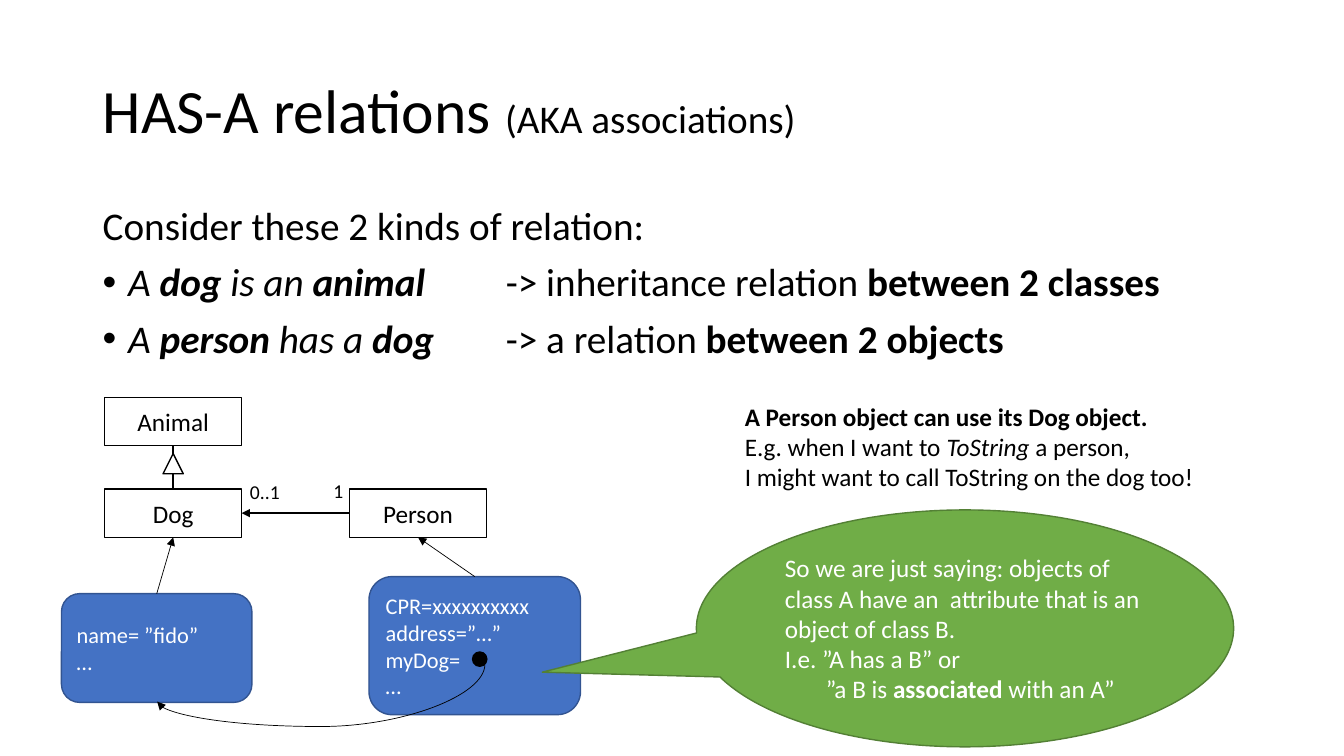
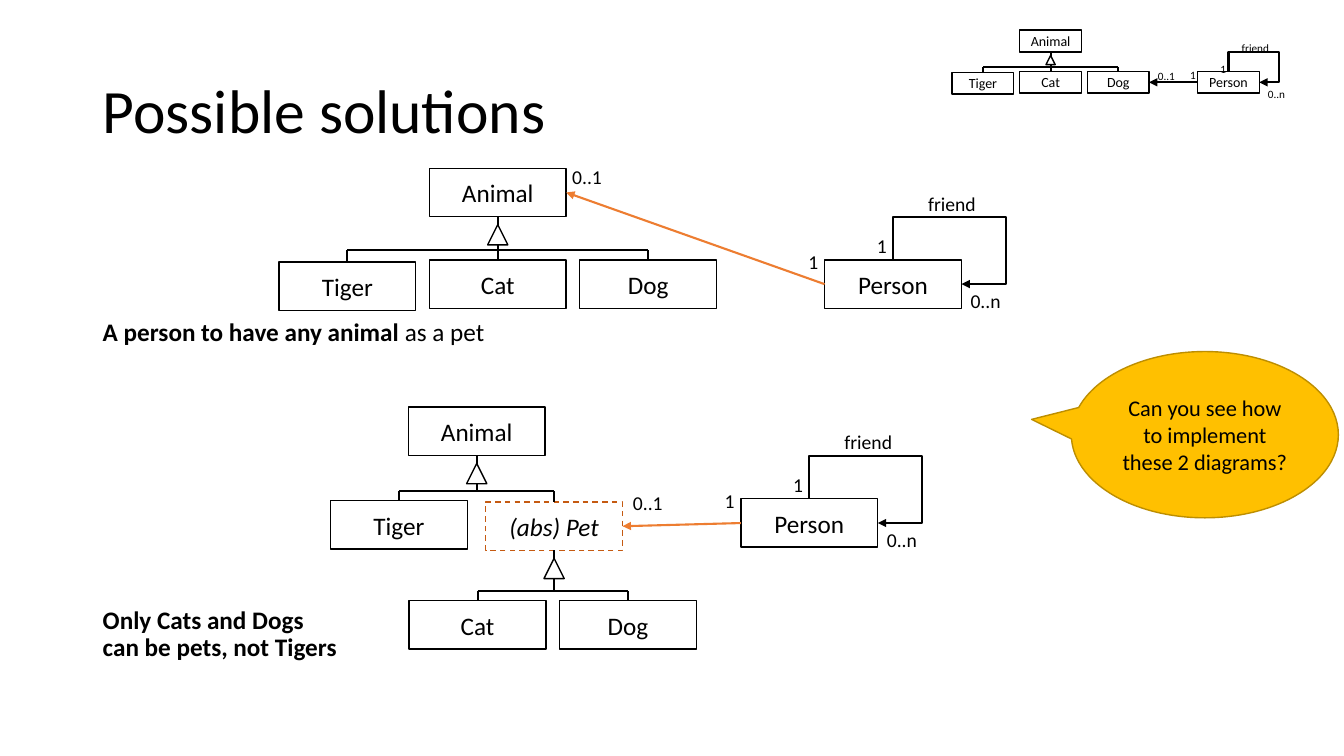
import pptx
import pptx.util
import pptx.dml.color
import pptx.enum.dml
import pptx.enum.shapes
import pptx.enum.text
import pptx.oxml.ns

Cm = pptx.util.Cm
Pt = pptx.util.Pt
RGB = pptx.dml.color.RGBColor
KIND = pptx.enum.shapes.MSO_SHAPE
LINK = pptx.enum.shapes.MSO_CONNECTOR
ALIGN = pptx.enum.text.PP_ALIGN
ANCHOR = pptx.enum.text.MSO_ANCHOR
qn = pptx.oxml.ns.qn

BLACK = RGB(0x00, 0x00, 0x00)
WHITE = RGB(0xFF, 0xFF, 0xFF)
BLUE = RGB(0x44, 0x72, 0xC4)
NAVY = RGB(0x32, 0x54, 0x91)
GREEN = RGB(0x70, 0xAD, 0x47)
FOREST = RGB(0x53, 0x80, 0x35)
GOLD = RGB(0xFF, 0xC0, 0x00)
OCHRE = RGB(0xBD, 0x8E, 0x00)
ORANGE = RGB(0xED, 0x7D, 0x31)
RUST = RGB(0xC5, 0x5A, 0x11)

FONT = "Calibri"
BOLD = {"bold": True}
ITAL = {"italic": True}
BOTH = {"bold": True, "italic": True}
TIGHT = {"line_spacing": 0.9}
BODY = {"line_spacing": 0.9, "space_before": Pt(10)}
MID = {"alignment": ALIGN.CENTER}
TOP, LEFT, BOTTOM, RIGHT = range(4)
WIDE, HIGH = 3.45, 1.22
MINI = 0.45
WIDTHS = {"1": 0.76, "0..1": 1.27, "friend": 1.73, "0..n": 1.3}
LOOP = {
    1: {"friend": (2.36, -1.85), "1": (1.07, -0.79), "0..n": (3.43, 0.61)},
    MINI: {"friend": (0.86, -0.89), "1": (0.32, -0.36), "0..n": (1.52, 0.28)},
}


def apply(thing, form):
    for name, value in form.items():
        setattr(thing, name, value)


def add(base, tag, **values):
    node = base.makeelement(qn(tag), {name: str(value) for name, value in values.items()})
    base.append(node)
    return node


def write(shape, paras, size, color=BLACK, form=None, wrap=True, anchor=ANCHOR.MIDDLE):
    frame = shape.text_frame
    apply(frame, {"word_wrap": wrap, "vertical_anchor": anchor})
    for i, runs in enumerate(paras):
        para = frame.paragraphs[0] if i == 0 else frame.add_paragraph()
        apply(para, {"alignment": ALIGN.LEFT, **(form or {})})
        for word, style in [(runs, {})] if isinstance(runs, str) else runs:
            run = para.add_run()
            run.text = word
            apply(run.font, {"name": FONT, "size": Pt(size), **style})
            run.font.color.rgb = color
    return frame.paragraphs


def indent(para, left, tab=None):
    props = para._p.get_or_add_pPr()
    props.set("marL", str(Cm(left)))
    if tab:
        props.set("indent", str(-Cm(left)))
        add(props, "a:buFont", typeface="Arial")
        add(props, "a:buChar", char="•")
        add(add(props, "a:tabLst"), "a:tab", pos=Cm(tab), algn="l")


def note(slide, spot, paras, size, **more):
    area = slide.shapes.add_textbox(*map(Cm, spot))
    return write(area, paras, size, **more)


def title(slide, runs):
    note(slide, (2.34, 1.02, 29.21, 3.68), [runs], 44, form=TIGHT)


def label(slide, word, x, y, size=14):
    wide = 0.51 + (WIDTHS[word] - 0.51) * size / 14
    note(slide, (x, y, wide, 0.25 + size * 0.043), [word], size,
         wrap=False, anchor=ANCHOR.TOP)


def form(slide, kind, spot, fill=WHITE, edge=BLACK):
    shape = slide.shapes.add_shape(kind, *map(Cm, spot))
    shape.shadow.inherit = False
    shape.fill.solid()
    shape.fill.fore_color.rgb = fill
    shape.line.color.rgb = edge
    shape.line.width = Pt(1)
    return shape


def box(slide, name, x, y, scale=1, edge=BLACK, style=None):
    shape = form(slide, KIND.RECTANGLE, (x, y, WIDE * scale, HIGH * scale), edge=edge)
    write(shape, [[(name, style or {})]], 18 if scale == 1 else 10, form=MID)
    return shape


def item(slide, spot, lines):
    shape = form(slide, KIND.ROUNDED_RECTANGLE, spot, BLUE, NAVY)
    write(shape, lines, 16, WHITE)
    return shape


def bubble(slide, spot, tip, fill, edge):
    shape = form(slide, KIND.OVAL_CALLOUT, spot, fill, edge)
    for i, value in enumerate(tip):
        shape.adjustments[i] = value
    return shape


def stroke(slide, ends, kind=LINK.STRAIGHT, color=BLACK, width=1.5, head=False):
    line = slide.shapes.add_connector(kind, *ends)
    line.line.color.rgb = color
    line.line.width = Pt(width)
    props = line._element.spPr
    if head:
        add(props.find(qn("a:ln")), "a:tailEnd", type="triangle")
    add(props, "a:effectLst")
    return line


def link(slide, start, out, end, into, **more):
    line = stroke(slide, (0, 0, 0, 0), head=True, **more)
    line.begin_connect(start, out)
    line.end_connect(end, into)
    return line


def bend(line, preset, spot, turn, flip, values):
    apply(line, dict(zip(("left", "top", "width", "height"), spot)))
    props = line._element.spPr
    frame = props.find(qn("a:xfrm"))
    for name, value in {"rot": turn * 60000, "flipH": flip, "flipV": 0}.items():
        frame.set(name, str(value))
    shape = props.find(qn("a:prstGeom"))
    shape.set("prst", preset)
    for i, value in enumerate(values, 1):
        add(shape.find(qn("a:avLst")), "a:gd", name=f"adj{i}", fmla=f"val {value}")


def tree(slide, base, kids, scale=1):
    mid = base.left + base.width // 2
    foot = base.top + base.height
    bar = min(kid.top for kid in kids) - Cm(0.25 * scale)
    hubs = [kid.left + kid.width // 2 for kid in kids]
    stroke(slide, (mid, foot, mid, bar))
    if len(kids) > 1:
        stroke(slide, (hubs[0], bar, hubs[-1], bar))
    for hub, kid in zip(hubs, kids):
        stroke(slide, (hub, bar, hub, kid.top))
    side = 0.51 * scale
    form(slide, KIND.FLOWCHART_EXTRACT,
         (mid / Cm(1) - side / 2, foot / Cm(1) + 0.2 * scale, side, side))


def person(slide, x, y, scale=1):
    shape = box(slide, "Person", x, y, scale)
    line = link(slide, shape, TOP, shape, RIGHT, kind=LINK.ELBOW)
    wide, high = shape.width // 2, shape.height // 2
    spot = (shape.left + (3 * wide - high) // 2, shape.top + (high - wide) // 2, high, wide)
    bend(line, "bentConnector4", spot, 270, 1, (-176400, 164600))
    for word, (right, down) in LOOP[scale].items():
        label(slide, word, x + right, y + down, 14 if scale == 1 else 8)
    return shape


def zoo(slide, x, y, scale=1):
    row = y + 2.31 * scale
    base = box(slide, "Animal", x, y, scale)
    kids = [box(slide, "Tiger", x - 3.79 * scale, row + 0.05 * scale, scale),
            box(slide, "Cat", x, row, scale),
            box(slide, "Dog", x + 3.79 * scale, row, scale)]
    tree(slide, base, kids, scale)
    return base, kids[-1], person(slide, x + 9.96 * scale, row, scale)


def relate(slide):
    title(slide, [("HAS-A relations ", {}), ("(AKA associations)", {"size": Pt(28)})])
    paras = note(slide, (2.34, 5.08, 29.21, 12.09), [
        "Consider these 2 kinds of relation:",
        [("A ", ITAL), ("dog", BOTH), (" is an ", ITAL), ("animal", BOTH),
         ("\t-> inheritance relation ", {}), ("between 2 classes", BOLD)],
        [("A ", ITAL), ("person", BOTH), (" has a ", ITAL), ("dog", BOTH),
         ("\t-> a relation ", {}), ("between 2 objects", BOLD)],
    ], 28, form=BODY, anchor=ANCHOR.TOP)
    for para in paras[1:]:
        indent(para, 0.64, 10.16)
    note(slide, (18.52, 9.98, 11.96, 2.57), [
        [("A Person object can use its Dog object.", BOLD)],
        [("E.g. when I want to ", {}), ("ToString", ITAL), (" a person,", {})],
        "I might want to call ToString on the dog too!",
    ], 18, wrap=False, anchor=ANCHOR.TOP)

    beast = box(slide, "Animal", 2.64, 10.01)
    dog = box(slide, "Dog", 2.64, 12.32)
    owner = box(slide, "Person", 8.81, 12.32)
    tree(slide, beast, [dog])
    link(slide, owner, LEFT, dog, RIGHT)
    label(slide, "1", 8.15, 11.94)
    label(slide, "0..1", 6.05, 11.96)

    fido = item(slide, (1.55, 14.96, 4.8, 2.74), ["name= ”fido”", "…"])
    human = item(slide, (9.3, 14.53, 5.33, 3.48),
                 ["CPR=xxxxxxxxxx", "address=”…”", "myDog= ", "…"])
    link(slide, fido, TOP, dog, BOTTOM, width=0.5)
    link(slide, human, TOP, owner, BOTTOM, width=0.5)
    dot = form(slide, KIND.OVAL, (11.91, 16.43, 0.36, 0.36), BLACK)
    curve = link(slide, dot, BOTTOM, fido, BOTTOM, kind=LINK.CURVE, width=0.5)
    next(curve._element.iter(qn("a:stCxn"))).set("idx", "5")
    bend(curve, "curvedConnector3", map(Cm, (7.62, 13.08, 0.94, 8.26)), 90, 0, (166900,))

    talk = bubble(slide, (17.55, 12.85, 13.54, 5.97), (-0.787, 0.185), GREEN, FOREST)
    paras = write(talk, [
        "So we are just saying: objects of class A have an  attribute that is an object of class B.",
        "I.e. ”A has a B” or ",
        [("”a B is ", {}), ("associated", BOLD), (" with an A”", {})],
    ], 18, WHITE)
    indent(paras[-1], 1.03)


def solve(slide):
    title(slide, [("Possible solutions", {})])
    note(slide, (2.34, 7.92, 14, 1),
         [[("A person to have any animal", BOLD), (" as a pet", {})]],
         18, form=TIGHT, anchor=ANCHOR.TOP)
    note(slide, (2.34, 15.19, 7.5, 1.6),
         [[("Only Cats and Dogs", BOLD)], [("can be pets, not Tigers", BOLD)]],
         18, form=TIGHT, anchor=ANCHOR.TOP)

    beast, dog, owner = zoo(slide, 10.82, 4.24)
    link(slide, owner, LEFT, beast, RIGHT, color=ORANGE)
    label(slide, "1", 20.12, 6.17)
    label(slide, "0..1", 14.17, 4.04)

    beast, dog, owner = zoo(slide, 25.7, 0.76, MINI)
    link(slide, owner, LEFT, dog, RIGHT)
    label(slide, "1", 29.74, 1.6, 8)
    label(slide, "0..1", 28.93, 1.63, 8)

    beast = box(slide, "Animal", 10.29, 10.26)
    tiger = box(slide, "Tiger", 8.33, 12.62)
    pet = box(slide, "(abs) Pet", 12.24, 12.65, edge=RUST, style=ITAL)
    pet.line.dash_style = pptx.enum.dml.MSO_LINE.DASH
    tree(slide, beast, [tiger, pet])
    tree(slide, pet, [box(slide, "Cat", 10.31, 15.14), box(slide, "Dog", 14.1, 15.14)])
    owner = person(slide, 18.67, 12.57)
    link(slide, owner, LEFT, pet, RIGHT, color=ORANGE)
    label(slide, "1", 18.01, 12.19)
    label(slide, "0..1", 15.7, 12.24)

    ask = bubble(slide, (27, 8.86, 6.73, 4.19), (-0.649, -0.092), GOLD, OCHRE)
    write(ask, ["Can you see how to implement these 2 diagrams?"], 16, form=MID)


def main():
    deck = pptx.Presentation()
    apply(deck, {"slide_width": Cm(33.87), "slide_height": Cm(19.05)})
    for draw in (relate, solve):
        draw(deck.slides.add_slide(deck.slide_layouts[6]))
    deck.save("out.pptx")


main()
